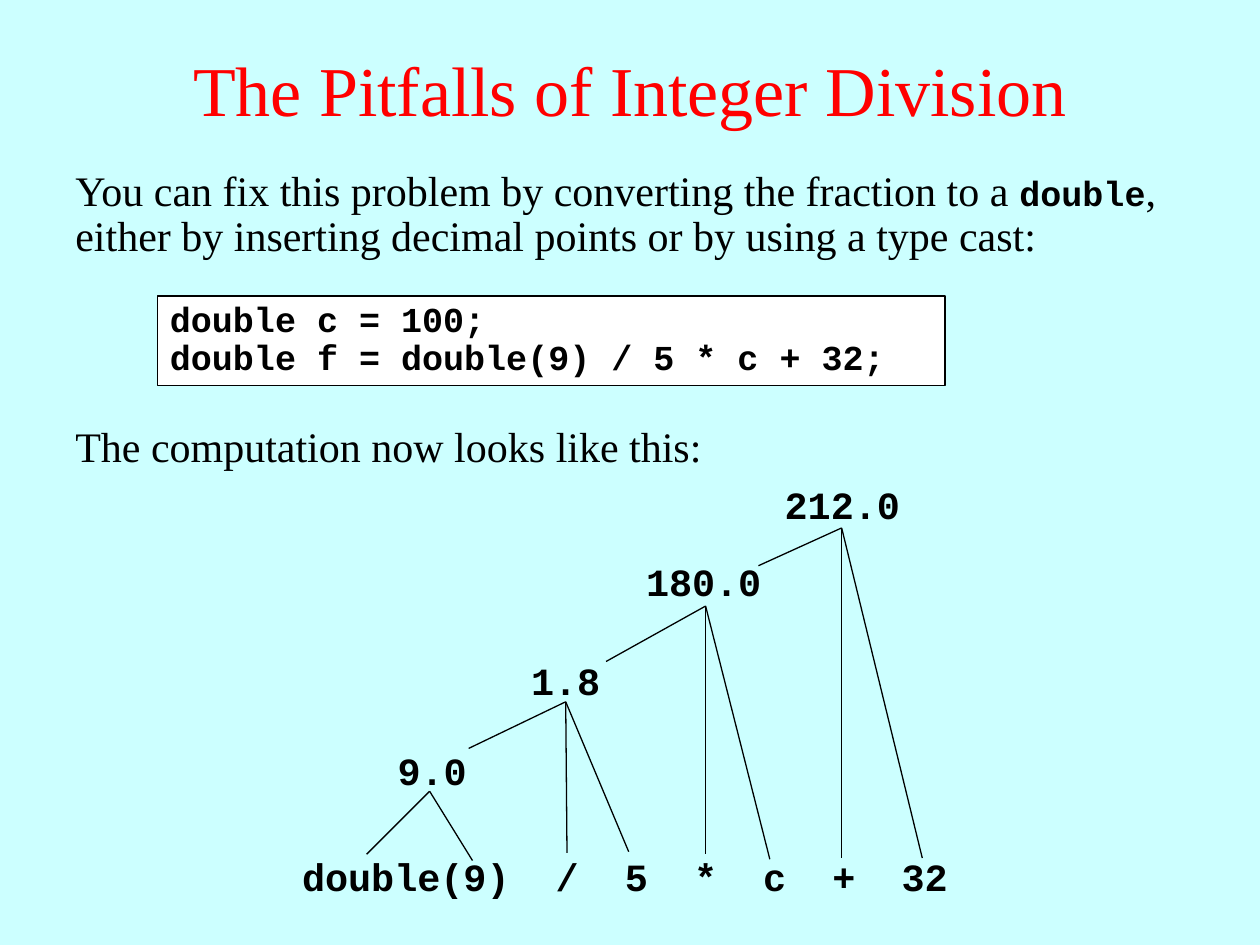
from lxml import etree
from pptx import Presentation
from pptx.dml.color import RGBColor
from pptx.enum import shapes, text
from pptx.oxml.ns import qn
from pptx.util import Inches, Pt

BLACK = RGBColor(0, 0, 0)
WHITE = RGBColor(255, 255, 255)
RED = RGBColor(255, 0, 0)
PALE_CYAN = RGBColor(0xCC, 0xFF, 0xFF)
SERIF, MONO = "Times New Roman", "Courier New"
CENTER, JUSTIFY = text.PP_ALIGN.CENTER, text.PP_ALIGN.JUSTIFY

TITLE = "The Pitfalls of Integer Division"
ADVICE = [
    ("You can fix this problem by converting the fraction to a ", SERIF, 24),
    ("double", MONO, 20),
    (", either by inserting decimal points or by using a type cast:", SERIF, 24),
]
CODE = ["double c = 100;", "double f = double(9) / 5 * c + 32;"]
LEAD_IN = "The computation now looks like this:"
EXPRESSION = "double(9)  /  5  *  c  +  32"

TREE = [
    ("9.0", (2.93, 5.92, 1, 0.44), (3.41, 6.28), [(2.91, 6.78), (3.75, 6.83)]),
    ("1.8", (3.99, 5.21, 1, 0.44), (4.49, 5.57),
     [(3.72, 5.94), (4.5, 6.77), (4.99, 6.76)]),
    ("180.0", (5, 4.42, 1.17, 0.44), (5.6, 4.81),
     [(4.81, 5.25), (5.6, 6.78), (6.11, 6.82)]),
    ("212.0", (6.06, 3.81, 1.25, 0.44), (6.68, 4.19),
     [(6.02, 4.49), (6.68, 6.81), (7.32, 6.81)]),
]


def style(font, name, size, color=BLACK):
    font.name, font.size, font.bold = name, Pt(size), name == MONO
    font.color.rgb = color


def write(shape, lines, name, size, align=None):
    frame = shape.text_frame
    frame.word_wrap = True
    frame.text = "\n".join(lines)
    for paragraph in frame.paragraphs:
        paragraph.line_spacing = 0.9
        paragraph.alignment = align
        style(paragraph.font, name, size)


def add_label(slide, box, line, name=MONO, size=22, align=CENTER):
    label = slide.shapes.add_textbox(*map(Inches, box))
    write(label, [line], name, size, align)


def add_branch(slide, start, end):
    branch = slide.shapes.add_connector(
        shapes.MSO_CONNECTOR.STRAIGHT, *map(Inches, start + end))
    branch.line.color.rgb = BLACK
    branch.line.width = Pt(0.75)
    etree.SubElement(branch._element.spPr, qn("a:effectLst"))


def main():
    deck = Presentation()
    deck.slide_width, deck.slide_height = Inches(10), Inches(7.5)
    slide = deck.slides.add_slide(deck.slide_layouts[5])
    slide.background.fill.solid()
    slide.background.fill.fore_color.rgb = PALE_CYAN

    title = slide.shapes.title
    title.left, title.top, title.width, title.height = map(Inches, (0, 0.08, 10, 1.25))
    title.text_frame.text = TITLE
    title.text_frame.vertical_anchor = text.MSO_ANCHOR.MIDDLE
    heading = title.text_frame.paragraphs[0]
    heading.alignment = CENTER
    style(heading.font, SERIF, 40, RED)

    advice = slide.shapes.add_textbox(*map(Inches, (0.5, 1.3, 9, 0.83)))
    advice.text_frame.word_wrap = True
    sentence = advice.text_frame.paragraphs[0]
    sentence.line_spacing = 0.9
    for words, name, size in ADVICE:
        run = sentence.add_run()
        run.text = words
        style(run.font, name, size)

    listing = slide.shapes.add_shape(
        shapes.MSO_SHAPE.RECTANGLE, *map(Inches, (1.25, 2.35, 6.25, 0.71)))
    listing.shadow.inherit = False
    listing.fill.solid()
    listing.fill.fore_color.rgb = WHITE
    listing.line.color.rgb = BLACK
    listing.line.width = Pt(0.75)
    listing.text_frame.vertical_anchor = text.MSO_ANCHOR.TOP
    write(listing, CODE, MONO, 20, JUSTIFY)

    add_label(slide, (0.5, 3.33, 9, 0.46), LEAD_IN, SERIF, 24, None)
    for value, box, apex, operands in TREE:
        for operand in operands:
            add_branch(slide, apex, operand)
        add_label(slide, box, value)
    add_label(slide, (1, 6.76, 7.92, 0.44), EXPRESSION)

    deck.save("out.pptx")


if __name__ == "__main__":
    main()
